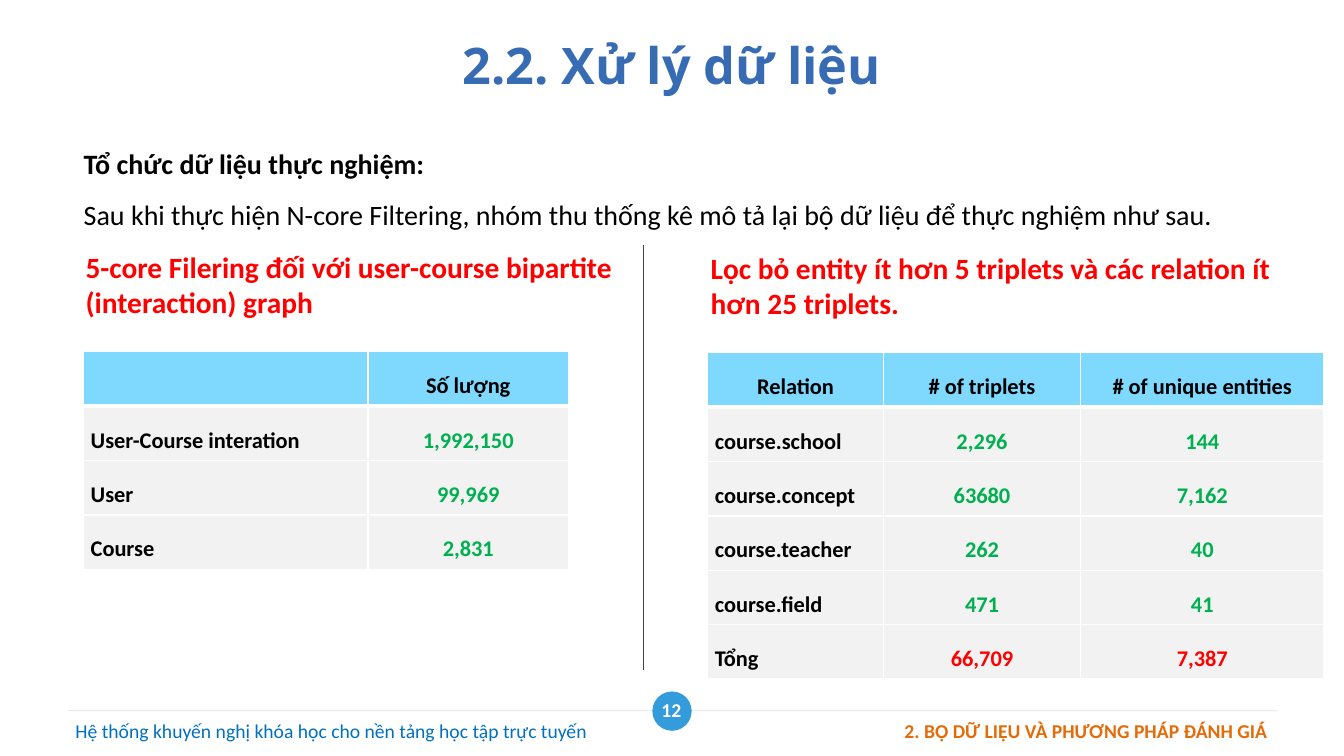
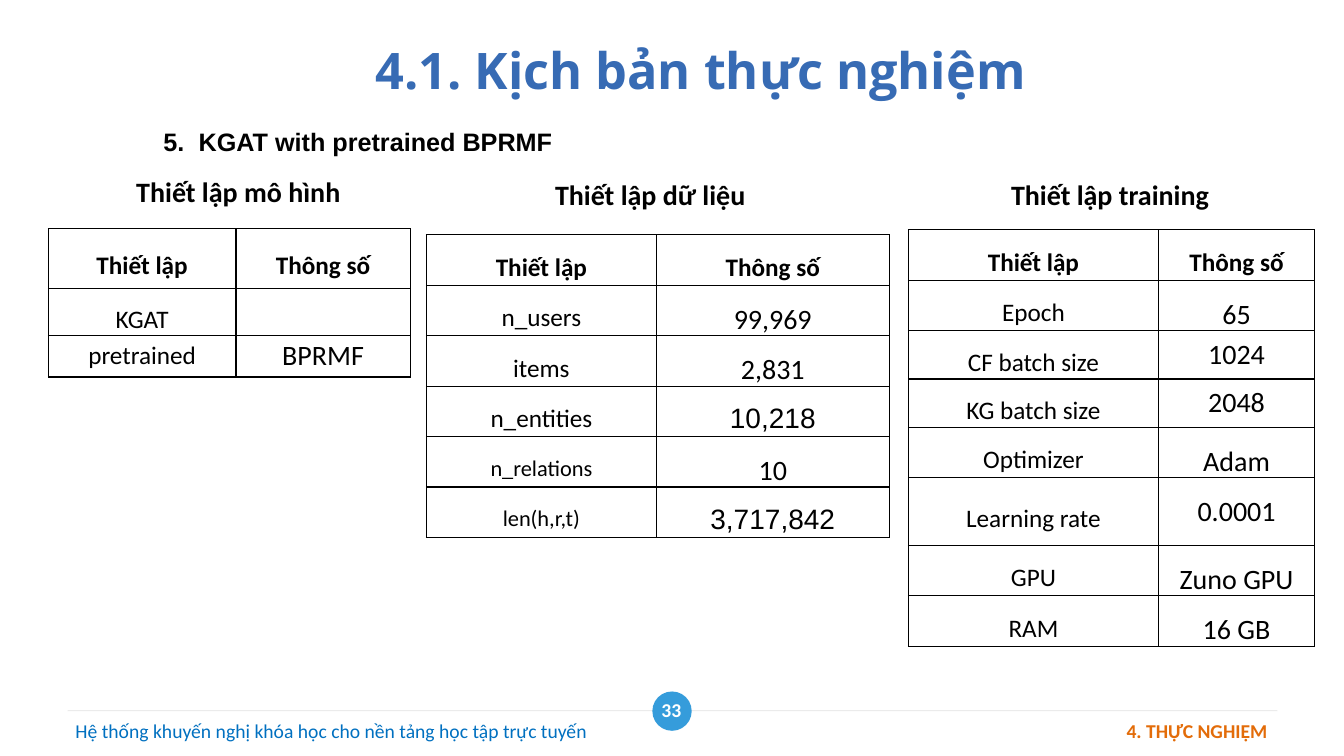
import pptx
import pptx.util
import pptx.dml.color
import pptx.enum.shapes
import pptx.enum.text
import pptx.oxml
import pptx.oxml.ns
from lxml import etree

Inches, Pt = pptx.util.Inches, pptx.util.Pt
RGBColor = pptx.dml.color.RGBColor
ALIGN = pptx.enum.text.PP_ALIGN
ANCHOR = pptx.enum.text.MSO_ANCHOR
qn = pptx.oxml.ns.qn

BLACK = RGBColor(0, 0, 0)
WHITE = RGBColor(0xFF, 0xFF, 0xFF)
RED = RGBColor(0xFF, 0, 0)
GREEN = RGBColor(0, 0xB0, 0x50)
NAVY = RGBColor(0x37, 0x6B, 0xB4)
BLUE = RGBColor(0, 0x70, 0xC0)
DISC = RGBColor(0x35, 0x9C, 0xDB)
SKY = RGBColor(0x7F, 0xD9, 0xFF)
PALE = RGBColor(0xF2, 0xF2, 0xF2)
RULE = RGBColor(0xD8, 0xD8, 0xD8)
DARK = RGBColor(0x40, 0x40, 0x40)
AMBER = RGBColor(0xE3, 0x6C, 0x09)

PLAIN = dict(name="Calibri", bold=False)
BOLD = dict(name="Calibri", bold=True)
HEAD = dict(name="Open Sans", bold=True)
ARIAL = dict(name="Arial", bold=True)
LEFT, MID, RIGHT, JUST = ALIGN.LEFT, ALIGN.CENTER, ALIGN.RIGHT, ALIGN.JUSTIFY
LOOSE = 1.5

FOOT = "Hệ thống khuyến nghị khóa học cho nền tảng học tập trực tuyến"
PAIR = ["Thiết lập", "Thông số"]
TIGHT = {"pretrained", "BPRMF", "1024", "2048", "0.0001"}
SMALL = {"n_relations", "len(h,r,t)"}
SANS = {"10,218", "3,717,842"}

PAGES = [
    dict(
        num="12", title="2.2. Xử lý dữ liệu", head=(1.29, 0.25, 10.75, 0.78),
        part="2. BỘ DỮ LIỆU VÀ PHƯƠNG PHÁP ĐÁNH GIÁ",
        body="Tổ chức dữ liệu thực nghiệm:\n"
             "Sau khi thực hiện N-core Filtering, nhóm thu thống kê mô tả lại "
             "bộ dữ liệu để thực nghiệm như sau.",
        area=(0.23, 1.24, 12.7, 1.06), size=20, font=BOLD,
        notes=[
            ((0.75, 2.42, 5.63, 0.81),
             "5-core Filering đối với user-course bipartite (interaction) graph"),
            ((6.95, 2.43, 6.07, 0.81),
             "Lọc bỏ entity ít hơn 5 triplets và các relation ít hơn 25 triplets."),
        ],
        note=(21, BOLD, RED, LEFT), band=True,
        grids=[
            (0.83, 3.49, [2.82, 1.99], [0.53] + [0.52] * 3, [
                ["", "Số lượng"],
                ["User-Course interation", "1,992,150"],
                ["User", "99,969"],
                ["Course", "2,831"]]),
            (7.02, 3.5, [1.74, 1.96, 2.41], [0.53] + [0.52] * 5, [
                ["Relation", "# of triplets", "# of unique entities"],
                ["course.school", "2,296", "144"],
                ["course.concept", "63680", "7,162"],
                ["course.teacher", "262", "40"],
                ["course.field", "471", "41"],
                ["Tổng", "66,709", "7,387"]]),
        ]),
    dict(
        num="33", title="4.1. Kịch bản thực nghiệm", head=(0.79, 0.3, 12.32, 0.78),
        part="4. THỰC NGHIỆM",
        body="KGAT with pretrained BPRMF",
        area=(1.02, 1.05, 11.64, 0.5), size=18, font=ARIAL,
        notes=[
            ((0, 1.68, 4.73, 0.44), "Thiết lập mô hình"),
            ((4.73, 1.71, 3.44, 0.44), "Thiết lập dữ liệu"),
            ((9.35, 1.71, 3.32, 0.44), "Thiết lập training"),
        ],
        note=(20, BOLD, BLACK, MID), band=False,
        grids=[
            (0.48, 2.27, [1.86, 1.73], [0.59, 0.47, 0.41], [
                PAIR, ["KGAT", ""], ["pretrained", "BPRMF"]]),
            (4.23, 2.33, [2.28, 2.31], [0.5] + [0.41] * 5, [
                PAIR, ["n_users", "99,969"], ["items", "2,831"],
                ["n_entities", "10,218"], ["n_relations", "10"],
                ["len(h,r,t)", "3,717,842"]]),
            (9.01, 2.28, [2.48, 1.55],
             [0.5, 0.4, 0.48, 0.48, 0.4, 0.67, 0.4, 0.4], [
                PAIR, ["Epoch", "65"], ["CF batch size", "1024"],
                ["KG batch size", "2048"], ["Optimizer", "Adam"],
                ["Learning rate", "0.0001"], ["GPU", "Zuno GPU"],
                ["RAM", "16 GB"]]),
        ]),
]


def write(frame, text, size, font, color=BLACK, align=LEFT, space=1.0):
    """Fill a text frame, one paragraph a line, in one format."""
    frame.text = text
    for para in frame.paragraphs:
        para.alignment, para.line_spacing = align, space
        para.space_before = para.space_after = Pt(0)
        for run in para.runs:
            run.font.size = Pt(size)
            run.font.color.rgb = color
            for key, value in font.items():
                setattr(run.font, key, value)


def edge(cell, color, base):
    """Draw the four borders of a cell; base is the width of the lower one."""
    props = cell._tc.get_or_add_tcPr()
    for spot, (side, width) in enumerate(
            [("lnL", 1), ("lnR", 1), ("lnT", 1), ("lnB", base)]):
        line = etree.Element(qn("a:" + side), w=str(Pt(width)))
        paint = etree.SubElement(line, qn("a:solidFill"))
        etree.SubElement(paint, qn("a:srgbClr"), val=str(color))
        props.insert(spot, line)


prs = pptx.Presentation()
prs.slide_width, prs.slide_height = Inches(13.33), Inches(7.5)
layout = prs.slide_layouts[1]

for page in PAGES:
    slide = prs.slides.add_slide(layout)
    shapes = slide.shapes
    title, body = slide.placeholders

    # Footer rule and number disc live on the layout; divider on the first slide
    lines = []
    if page is PAGES[0]:
        lines = [((0.67, 7.05, 12.67, 7.05), RULE), ((6.38, 2.43, 6.38, 6.65), DARK)]
    for ends, color in lines:
        line = shapes.add_connector(
            pptx.enum.shapes.MSO_CONNECTOR.STRAIGHT, *map(Inches, ends))
        line.line.color.rgb, line.line.width = color, Pt(0.75)
        etree.SubElement(line.element.spPr, qn("a:effectLst"))
        if color == RULE:
            tint = line.element.find(".//" + qn("a:srgbClr"))
            etree.SubElement(tint, qn("a:alpha"), val="50000")
            layout.shapes.element.append(line.element)
    if lines:
        disc = shapes.add_shape(
            pptx.enum.shapes.MSO_SHAPE.OVAL,
            *map(Inches, (6.47, 6.86, 0.39, 0.39)))
        disc.shadow.inherit = False
        disc.fill.solid()
        disc.fill.fore_color.rgb = DISC
        disc.line.fill.background()
        layout.shapes.element.append(disc.element)

    # Title and body
    for holder, area in [(title, page["head"]), (body, page["area"])]:
        holder.left, holder.top, holder.width, holder.height = map(Inches, area)
        holder.text_frame.auto_size = pptx.enum.text.MSO_AUTO_SIZE.NONE
    title.text_frame.vertical_anchor = ANCHOR.MIDDLE
    write(title.text_frame, page["title"], 36, HEAD, NAVY, MID)
    write(body.text_frame, page["body"], page["size"], page["font"],
          align=JUST, space=LOOSE)
    for para in body.text_frame.paragraphs:
        props = para._p.get_or_add_pPr()
        if page["band"]:
            props.set("marL", str(Inches(0.5)))
            props.set("indent", "0")
            etree.SubElement(props, qn("a:buNone"))
        else:
            props.set("marL", str(Inches(0.85)))
            props.set("indent", str(Inches(-0.35)))
            etree.SubElement(props, qn("a:buFont"), typeface="Arial")
            etree.SubElement(props, qn("a:buAutoNum"), type="arabicPeriod", startAt="5")
    for para in body.text_frame.paragraphs[1:]:
        para.runs[0].font.bold = False

    # Headings, footer texts and slide number
    texts = [(area, text, *page["note"]) for area, text in page["notes"]]
    texts += [
        ((0.65, 7.08, 5.93, 0.34), FOOT, 14, PLAIN, BLUE, LEFT),
        ((6.95, 7.08, 5.72, 0.34), page["part"], 14, BOLD, AMBER, RIGHT),
        ((6.38, 6.83, 0.56, 0.42), page["num"], 14, BOLD, WHITE, MID),
    ]
    for area, *look in texts:
        frame = shapes.add_textbox(*map(Inches, area)).text_frame
        frame.word_wrap = True
        write(frame, *look)
    frame.vertical_anchor = ANCHOR.MIDDLE

    # Tables
    band = page["band"]
    pad = Inches(0.07)
    rim = pad if band else 0
    fit = dict(margin_left=pad, margin_right=pad, margin_top=rim, margin_bottom=rim,
               vertical_anchor=ANCHOR.TOP if band else ANCHOR.MIDDLE)
    for left, top, cols, rows, cells in page["grids"]:
        table = shapes.add_table(
            len(rows), len(cols), Inches(left), Inches(top),
            Inches(sum(cols)), Inches(sum(rows))).table
        table.first_row = table.horz_banding = False
        for col, width in zip(table.columns, cols):
            col.width = Inches(width)
        for row, height in zip(table.rows, rows):
            row.height = Inches(height)
        for r, texts in enumerate(cells):
            for c, text in enumerate(texts):
                cell = table.cell(r, c)
                for key, value in fit.items():
                    setattr(cell, key, value)
                size, font, color, align, space = 18, BOLD, BLACK, MID, LOOSE
                if band:
                    cell.fill.solid()
                    cell.fill.fore_color.rgb = PALE if r else SKY
                    size = 16
                    if r and c:
                        color = RED if texts[0] == "Tổng" else GREEN
                    elif r:
                        align = LEFT
                else:
                    cell.fill.background()
                    if r:
                        size = 20 if c else 16 if text in SMALL else 18
                        font = dict(PLAIN, name="Arial") if text in SANS else PLAIN
                    if text in TIGHT:
                        space = 1.0
                edge(cell, WHITE if band else BLACK, 3 if band and not r else 1)
                write(cell.text_frame, text, size, font, color, align, space)

prs.save("out.pptx")
